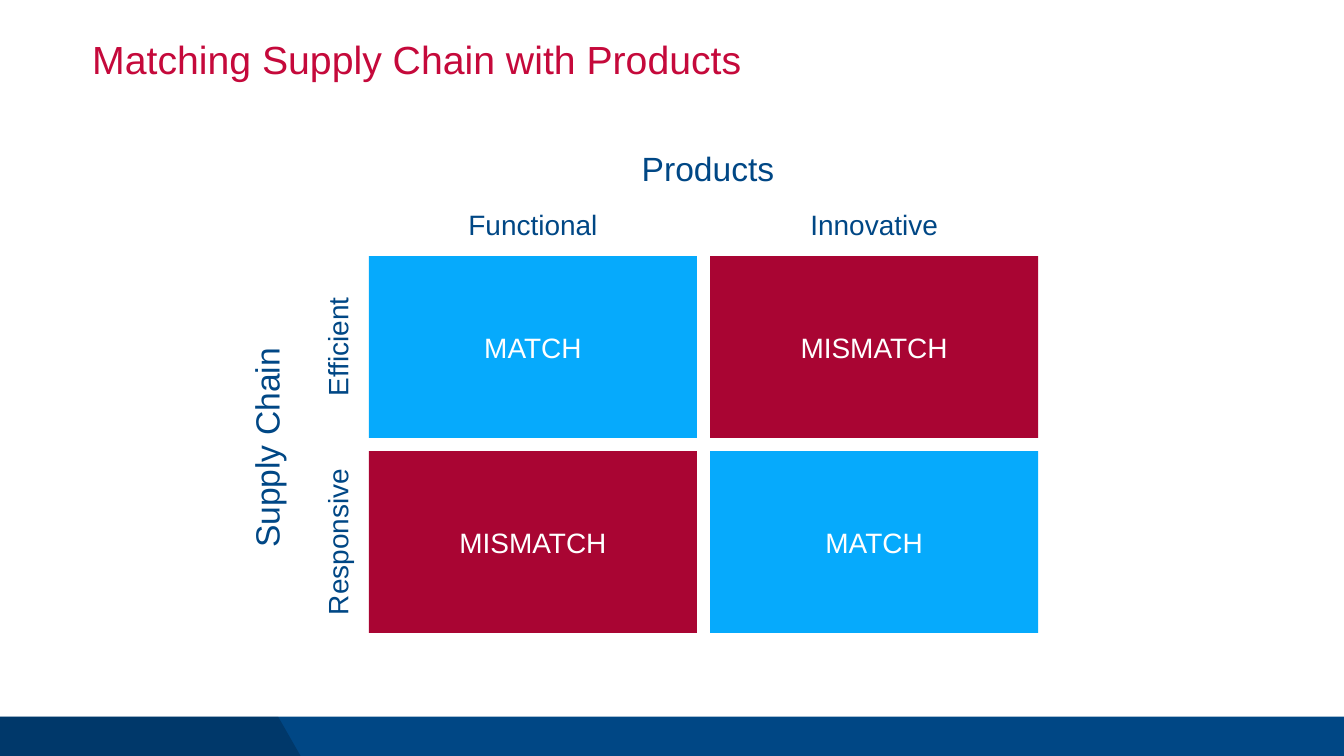
from lxml.etree import SubElement
from pptx import Presentation
from pptx.dml.color import RGBColor
from pptx.enum.shapes import MSO_SHAPE
from pptx.enum.text import MSO_ANCHOR, PP_ALIGN
from pptx.oxml.ns import qn
from pptx.util import Inches, Pt

NAVY = RGBColor(0x00, 0x47, 0x85)
CRIMSON = RGBColor(0xC5, 0x09, 0x3B)
SKY = RGBColor(0x06, 0xAA, 0xFC)
WINE = RGBColor(0xA9, 0x05, 0x33)
WHITE = RGBColor(0xFF, 0xFF, 0xFF)
BLACK = RGBColor(0x00, 0x00, 0x00)

WIDE, TALL = 26.67, 15
CELL_W, CELL_H = 6.51, 3.61
STEP_X, STEP_Y = 6.77, 3.87
LABEL_W = 7.01


def write(shape, text, size, color, align=PP_ALIGN.CENTER):
    """Put one line of text in a shape and return its paragraph."""
    shape.text_frame.word_wrap = True
    line = shape.text_frame.paragraphs[0]
    line.alignment = align
    run = line.add_run()
    run.text = text
    run.font.color.rgb = color
    for name, value in {"name": "Arial", "size": Pt(size)}.items():
        setattr(run.font, name, value)
    return line


def paint(shape, color):
    shape.shadow.inherit = False
    shape.fill.solid()
    shape.fill.fore_color.rgb = color
    shape.line.fill.background()


def add_label(slide, text, size, mid_x, mid_y, width, turn=0):
    """Add a label centred on a point, turned if asked."""
    height = 0.94 if size == 48 else 0.81
    label = slide.shapes.add_textbox(
        Inches(mid_x - width / 2), Inches(mid_y - height / 2),
        Inches(width), Inches(height))
    label.rotation = turn
    frame = label.text_frame
    for side in ("left", "top", "right", "bottom"):
        setattr(frame, f"margin_{side}", Inches(0.1))
    write(label, text, size, NAVY)


def add_footer(slide, left, top, width, height):
    band = slide.shapes.add_shape(
        MSO_SHAPE.RECTANGLE, Inches(left), Inches(top),
        Inches(width), Inches(height))
    paint(band, NAVY)

    # Slanted dark corner
    pen = slide.shapes.build_freeform(Inches(left), Inches(top))
    corners = [(5.52, 0), (6, height), (0, height)]
    pen.add_line_segments(
        [(Inches(left + x), Inches(top + y)) for x, y in corners])
    corner = pen.convert_to_shape()
    paint(corner, BLACK)
    tint = next(corner.fill._xPr.iter(qn("a:srgbClr")))
    SubElement(tint, qn("a:alpha"), val="20000")


def add_title(slide, left, top, width, height):
    title = slide.shapes.add_textbox(
        Inches(left), Inches(top), Inches(width), Inches(height))
    frame = title.text_frame
    for side in ("left", "top", "right", "bottom"):
        setattr(frame, f"margin_{side}", 0)
    line = write(title, "Matching Supply Chain with Products", 56, CRIMSON,
                 PP_ALIGN.LEFT)
    line.line_spacing = 0.9


def add_matrix(slide, left, top):
    mid_x = [left + CELL_W / 2 + i * STEP_X for i in range(2)]
    mid_y = [top + CELL_H / 2 + i * STEP_Y for i in range(2)]

    # Axis names
    add_label(slide, "Products", 48, left + 6.73, top - 1.77, LABEL_W)
    add_label(slide, "Supply Chain", 48, left - 2.07, top + 3.81, LABEL_W, 270)

    # Column and row names
    for x, text in zip(mid_x, ("Functional", "Innovative")):
        add_label(slide, text, 40, x, top - 0.65, LABEL_W)
    for y, text in zip(mid_y, ("Efficient", "Responsive")):
        add_label(slide, text, 40, left - 0.66, y, 3.64, 270)

    # Cells: the diagonal matches
    for row, y in enumerate(mid_y):
        for col, x in enumerate(mid_x):
            cell = slide.shapes.add_shape(
                MSO_SHAPE.RECTANGLE, Inches(x - CELL_W / 2),
                Inches(y - CELL_H / 2), Inches(CELL_W), Inches(CELL_H))
            match = row == col
            paint(cell, SKY if match else WINE)
            cell.text_frame.vertical_anchor = MSO_ANCHOR.MIDDLE
            write(cell, "MATCH" if match else "MISMATCH", 40, WHITE)


def main():
    deck = Presentation()
    deck.slide_width, deck.slide_height = Inches(WIDE), Inches(TALL)
    slide = deck.slides.add_slide(deck.slide_layouts[6])
    add_footer(slide, 0, 14.22, WIDE, 0.84)
    add_title(slide, 1.83, 0.8, 23, 1.05)
    add_matrix(slide, 7.32, 5.08)
    deck.save("out.pptx")


if __name__ == "__main__":
    main()
